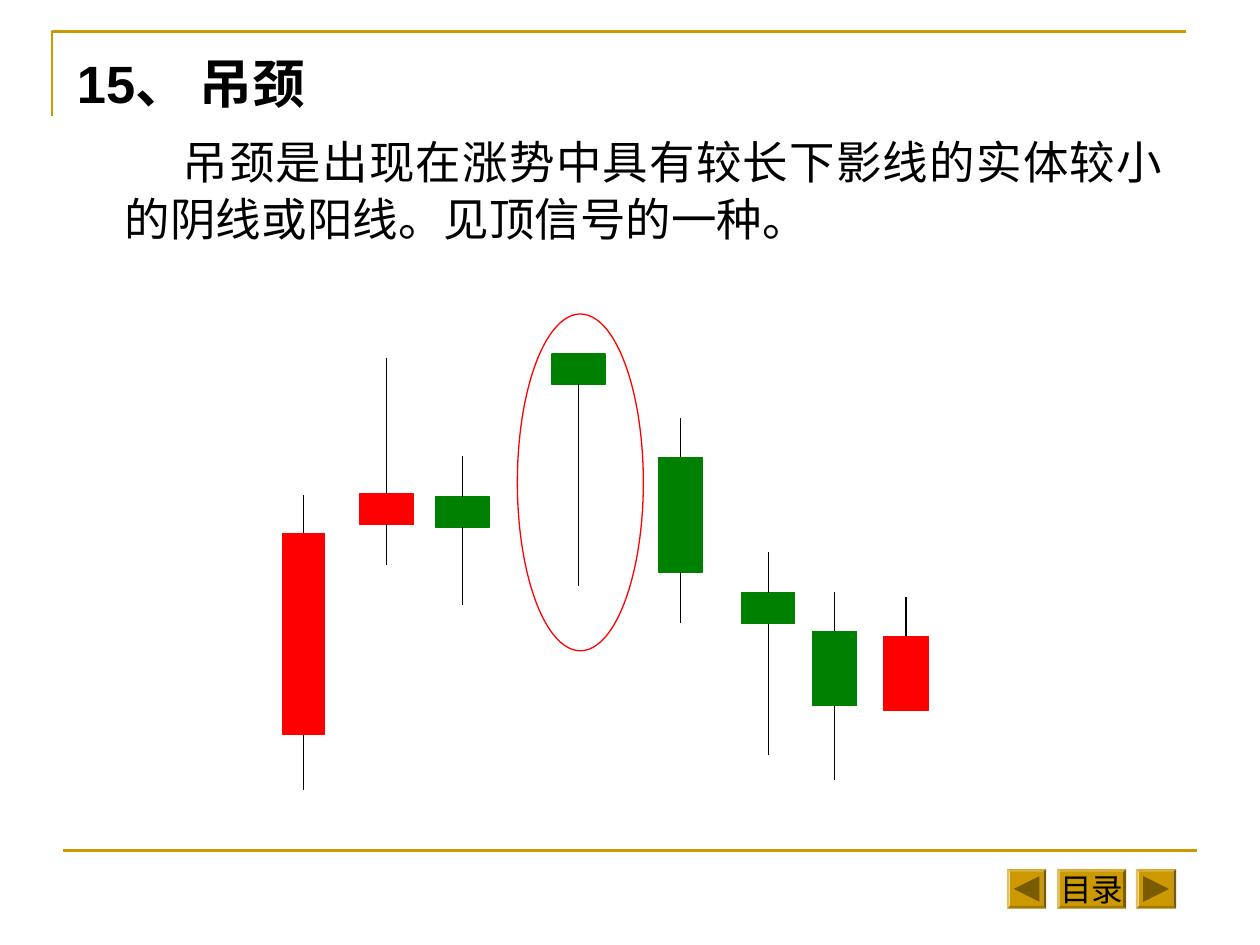
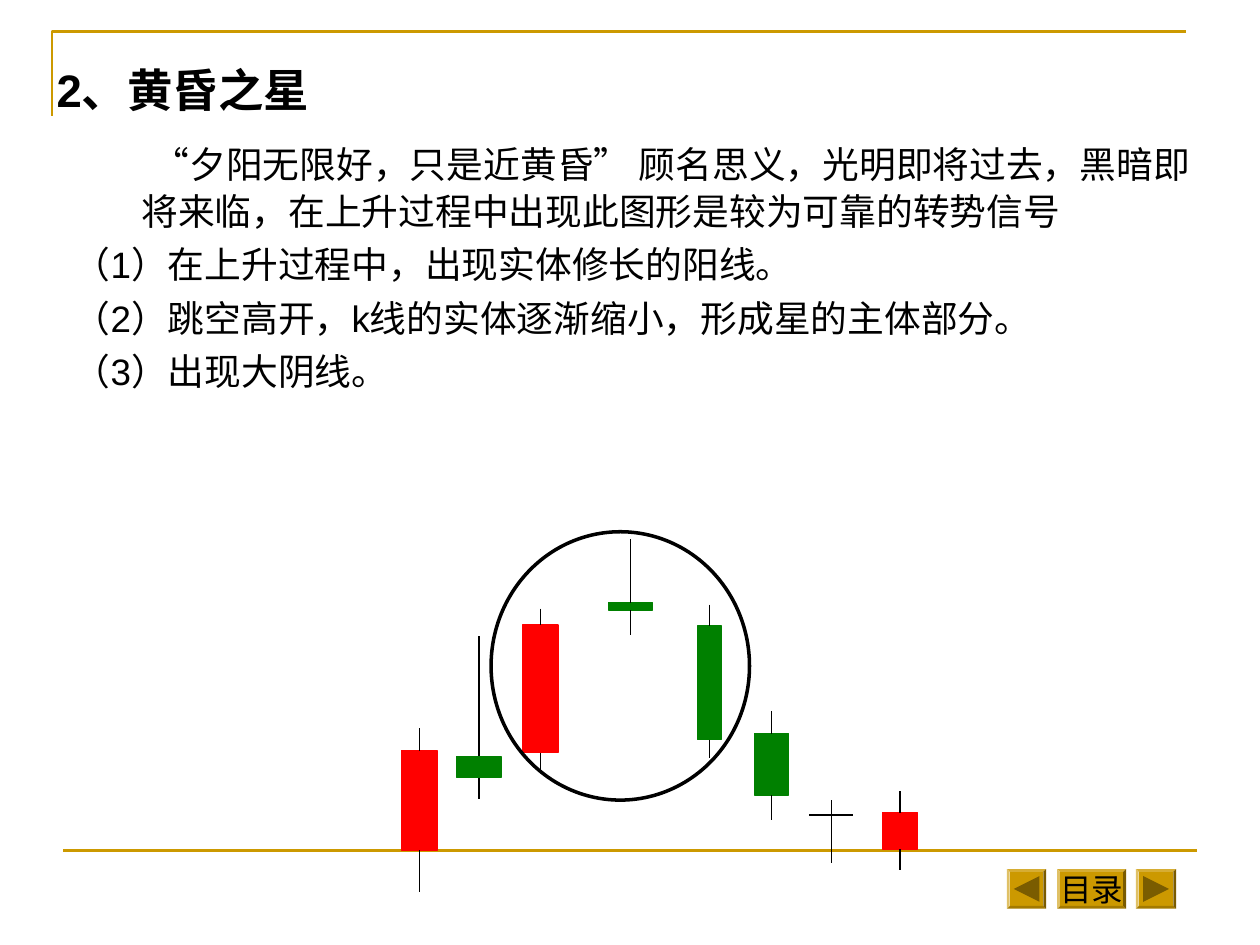
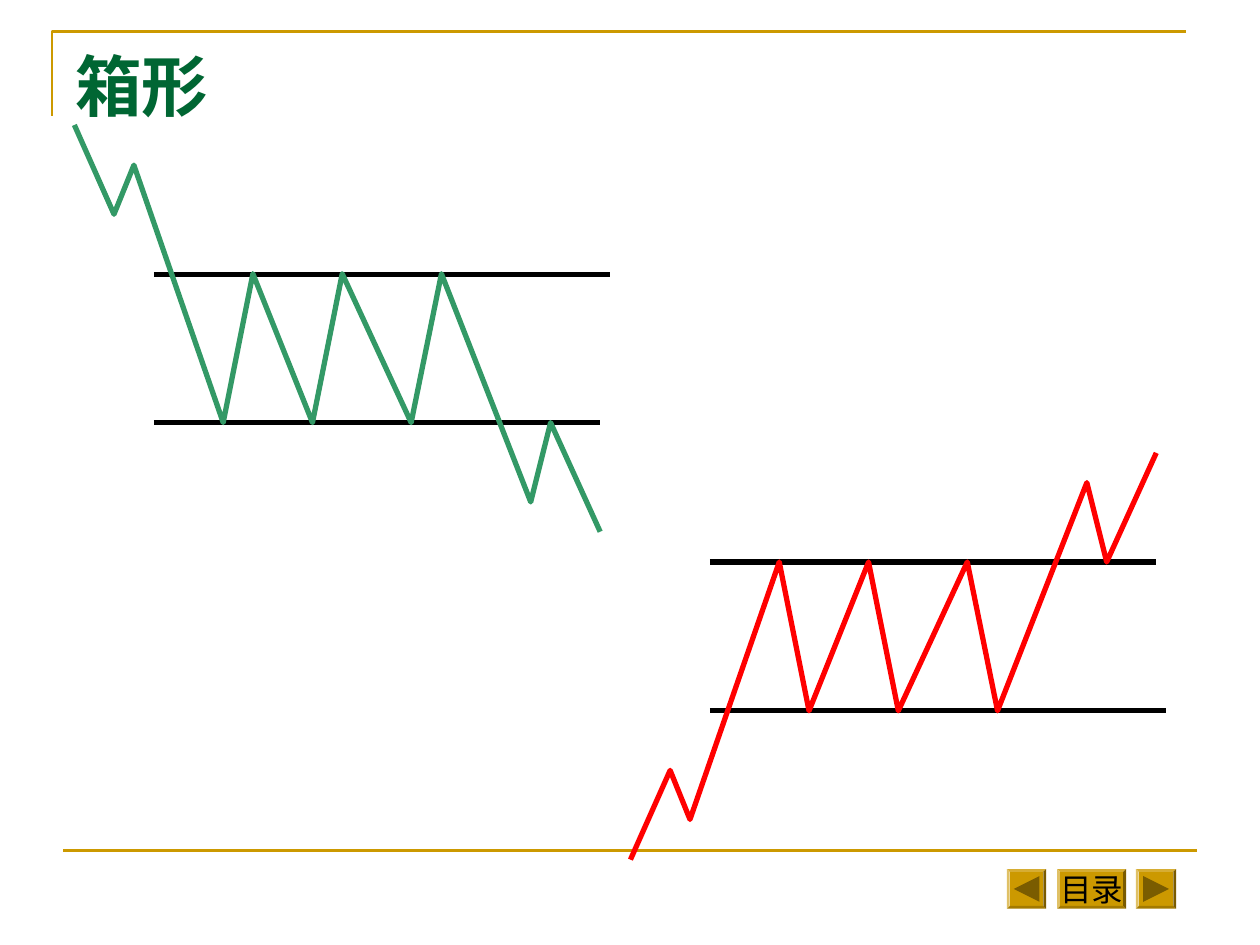
from lxml import etree
from pptx import Presentation
from pptx.dml.color import RGBColor
from pptx.enum.shapes import MSO_CONNECTOR, MSO_SHAPE
from pptx.enum.text import MSO_ANCHOR, PP_ALIGN
from pptx.oxml.ns import qn
from pptx.util import Cm, Pt

STRAIGHT = MSO_CONNECTOR.STRAIGHT
RECTANGLE, OVAL = MSO_SHAPE.RECTANGLE, MSO_SHAPE.OVAL
BEVEL, TRIANGLE = MSO_SHAPE.BEVEL, MSO_SHAPE.ISOSCELES_TRIANGLE
MIDDLE, TOP = MSO_ANCHOR.MIDDLE, MSO_ANCHOR.TOP
LEFT, CENTER, JUSTIFY = PP_ALIGN.LEFT, PP_ALIGN.CENTER, PP_ALIGN.JUSTIFY

COLORS = {
    "gold": "CC9900", "arrow": "7A5C00", "black": "000000", "white": "FFFFFF",
    "rise": "FF0000", "fall": "008000", "title": "006633", "downtrend": "339966",
}
LATIN, SERIF, CJK = "Arial", "Times New Roman", "Noto Sans CJK SC"

HEADER_CORNER = [(1.05, 2.33), (1.05, 0.64), (23.91, 0.64)]
FOOTER_RULE = (1.27, 17.15, 24.13, 17.15)
BUTTON_TOP, BUTTON_HEIGHT = 17.52, 0.8
NAVIGATION = [(20.3, 0.79, "", 270), (21.31, 1.39, "目录", None), (22.9, 0.81, "", 90)]

HANGING_TEXT = [
    {"text": "15、 吊颈", "size": 30, "bold": True, "align": JUSTIFY},
    {"text": "吊颈是出现在涨势中具有较长下影线的实体较小的阴线或阳线。见顶信号的一种。",
     "size": 26, "margin": 0.97, "indent": 1.16, "before": 10, "spacing": 1.04,
     "align": JUSTIFY},
]
EVENING_STAR_TEXT = [
    {"text": "2、黄昏之星", "size": 26, "bold": True},
    {"text": "“夕阳无限好，只是近黄昏” 顾名思义，光明即将过去，黑暗即将来临，"
             "在上升过程中出现此图形是较为可靠的转势信号",
     "size": 21, "margin": 1.71, "indent": 0.23, "before": 13, "spacing": 1.06},
] + [
    {"text": step, "size": 21, "margin": 0.35, "before": 5.2}
    for step in (
        "（1）在上升过程中，出现实体修长的阳线。",
        "（2）跳空高开，k线的实体逐渐缩小，形成星的主体部分。",
        "（3）出现大阴线。",
    )
]
BOX_TITLE = [{"text": "箱形", "size": 38, "bold": True, "font": SERIF, "color": "title"}]

CANDLE_FIELDS = ("direction", "left", "top", "width", "height", "high", "low")
HANGING_CANDLES = [
    ("rise", 5.69, 10.75, 0.86, 4.06, 9.98, 15.93),
    ("rise", 7.25, 9.96, 1.09, 0.61, 7.21, 11.38),
    ("fall", 8.79, 10.01, 1.07, 0.62, 9.19, 12.19),
    ("fall", 11.13, 7.14, 1.07, 0.61, 7.14, 11.81),
    ("fall", 13.28, 9.22, 0.89, 2.31, 8.43, 12.55),
    ("fall", 14.95, 11.95, 1.07, 0.62, 11.13, 15.21),
    ("fall", 16.38, 12.73, 0.89, 1.5, 11.94, 15.72),
    ("rise", 17.82, 12.83, 0.89, 1.5, 12.04, 14.33),
]
EVENING_STAR_CANDLES = [
    ("rise", 8.1, 15.13, 0.71, 2.01, 14.68, 17.98),
    ("fall", 9.21, 15.25, 0.89, 0.43, 12.83, 16.1),
    ("rise", 10.54, 12.6, 0.71, 2.57, 12.27, 15.52),
    ("fall", 12.27, 12.15, 0.89, 0.15, 10.87, 12.8),
    ("fall", 14.06, 12.62, 0.48, 2.29, 12.19, 15.29),
    ("fall", 15.21, 14.79, 0.69, 1.24, 14.33, 16.54),
    ("fall", 16.31, 16.43, 0.89, 0, 16.13, 17.4),
    ("rise", 17.79, 16.38, 0.71, 0.74, 15.95, 17.53),
]
HANGING_RING = (10.43, 6.33, 2.54, 6.79)
EVENING_STAR_RING = (9.9, 10.72, 5.21, 5.41)

BOX_LIMITS = [(3.1, 8.52, 12.09, 8.52), (3.1, 5.53, 12.29, 5.53)]
BOX_PRICE = [
    (1.5, 2.52), (2.3, 4.32), (2.7, 3.33), (4.5, 8.52), (5.1, 5.52), (6.3, 8.52),
    (6.9, 5.52), (8.29, 8.52), (8.9, 5.52), (10.7, 10.12), (11.1, 8.52), (12.1, 10.72),
]
MIRROR_SHIFT, MIRROR_SUM = 11.21, 19.85


def rgb(name):
    return RGBColor.from_string(COLORS[name])


def draw_line(slide, x1, y1, x2, y2, color="black", weight=0.75):
    line = slide.shapes.add_connector(STRAIGHT, Cm(x1), Cm(y1), Cm(x2), Cm(y2))
    line.line.color.rgb = rgb(color)
    line.line.width = Pt(weight)
    etree.SubElement(line._element.spPr, qn("a:effectLst"))


def paint(shape, fill=None, outline=None, weight=0.75):
    shape.shadow.inherit = False
    if fill:
        shape.fill.solid()
        shape.fill.fore_color.rgb = rgb(fill)
    else:
        shape.fill.background()
    if outline:
        shape.line.color.rgb = rgb(outline)
        shape.line.width = Pt(weight)
    else:
        shape.line.fill.background()


def draw_shape(slide, preset, box, **style):
    shape = slide.shapes.add_shape(preset, *map(Cm, box))
    paint(shape, **style)
    return shape


def draw_path(slide, points, color, weight):
    start, *rest = [(Cm(x), Cm(y)) for x, y in points]
    builder = slide.shapes.build_freeform(*start)
    builder.add_line_segments(rest, close=False)
    paint(builder.convert_to_shape(), outline=color, weight=weight)


def write(paragraph, item):
    paragraph.text = item["text"]
    paragraph.alignment = item.get("align", LEFT)
    properties = paragraph._p.get_or_add_pPr()
    properties.set("marL", str(Cm(item.get("margin", 0))))
    properties.set("indent", str(Cm(item.get("indent", 0))))
    if "before" in item:
        paragraph.space_before = Pt(item["before"])
    if "spacing" in item:
        paragraph.line_spacing = item["spacing"]
    for run in paragraph.runs:
        font = run.font
        font.size = Pt(item["size"])
        font.bold = item.get("bold", False)
        font.name = item.get("font", LATIN)
        font.color.rgb = rgb(item.get("color", "black"))
        east_asian = etree.Element(qn("a:ea"), typeface=CJK)
        font._element.find(qn("a:latin")).addnext(east_asian)


def draw_text(slide, box, items, anchor=TOP):
    frame = slide.shapes.add_textbox(*map(Cm, box)).text_frame
    frame.word_wrap = True
    frame.vertical_anchor = anchor
    for index, item in enumerate(items):
        write(frame.add_paragraph() if index else frame.paragraphs[0], item)


def draw_candles(slide, candles):
    for values in candles:
        candle = dict(zip(CANDLE_FIELDS, values))
        left, top, width, height = (candle[key] for key in ("left", "top", "width", "height"))
        center, bottom = left + width / 2, top + height
        if height:
            draw_shape(slide, RECTANGLE, (left, top, width, height),
                       fill=candle["direction"], outline=candle["direction"])
        else:
            draw_line(slide, left, top, left + width, top)
        for start, end in ((candle["high"], top), (bottom, candle["low"])):
            if end > start:
                draw_line(slide, center, start, center, end)


def draw_button(slide, left, width, label, turn):
    button = draw_shape(slide, BEVEL, (left, BUTTON_TOP, width, BUTTON_HEIGHT), fill="gold")
    button.adjustments[0] = 0.07
    if label:
        frame = button.text_frame
        frame.word_wrap = False
        frame.vertical_anchor = MIDDLE
        write(frame.paragraphs[0], {"text": label, "size": 18, "align": CENTER})
    else:
        side = 0.52
        arrow_box = (left + (width - side) / 2, BUTTON_TOP + (BUTTON_HEIGHT - side) / 2, side, side)
        draw_shape(slide, TRIANGLE, arrow_box, fill="arrow").rotation = turn


def new_slide(deck):
    slide = deck.slides.add_slide(deck.slide_layouts[6])
    draw_path(slide, HEADER_CORNER, "gold", 1.5)
    draw_line(slide, *FOOTER_RULE, color="gold", weight=1.5)
    for button in NAVIGATION:
        draw_button(slide, *button)
    return slide


def draw_box_pattern(slide, color, place):
    for x1, y1, x2, y2 in BOX_LIMITS:
        draw_line(slide, *place(x1, y1), *place(x2, y2), weight=3)
    draw_path(slide, [place(x, y) for x, y in BOX_PRICE], color, 3)


def main():
    deck = Presentation()
    deck.slide_width, deck.slide_height = Cm(25.4), Cm(19.05)

    hanging = new_slide(deck)
    draw_text(hanging, (1.3, 0.91, 22.4, 16.59), HANGING_TEXT)
    draw_shape(hanging, OVAL, HANGING_RING, fill="white", outline="rise")
    draw_candles(hanging, HANGING_CANDLES)

    evening_star = new_slide(deck)
    draw_text(evening_star, (0.89, 1.13, 23.8, 16.79), EVENING_STAR_TEXT)
    draw_candles(evening_star, EVENING_STAR_CANDLES)
    draw_shape(evening_star, OVAL, EVENING_STAR_RING, outline="black", weight=2)

    box = new_slide(deck)
    draw_text(box, (1.27, 0.84, 22.86, 1.75), BOX_TITLE, anchor=MIDDLE)
    draw_box_pattern(box, "downtrend", lambda x, y: (x, y))
    draw_box_pattern(box, "rise", lambda x, y: (x + MIRROR_SHIFT, MIRROR_SUM - y))

    deck.save("out.pptx")


if __name__ == "__main__":
    main()
